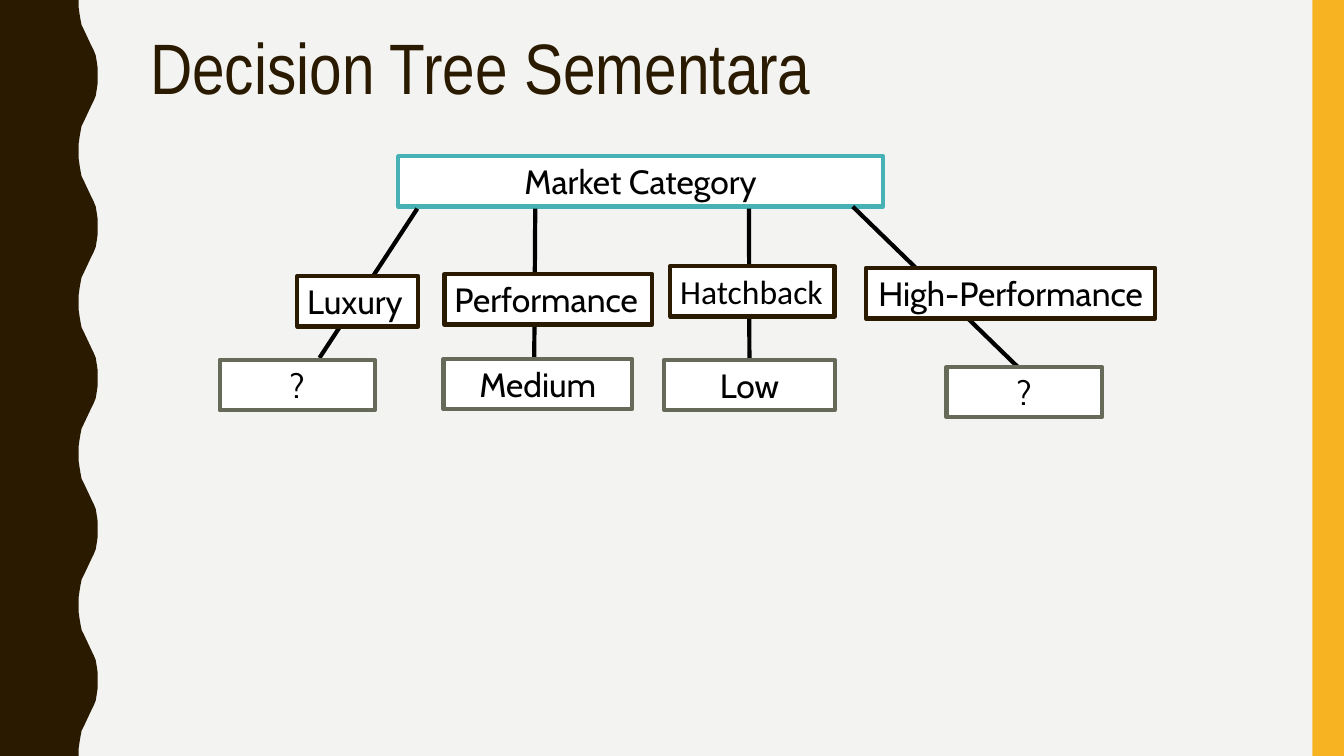
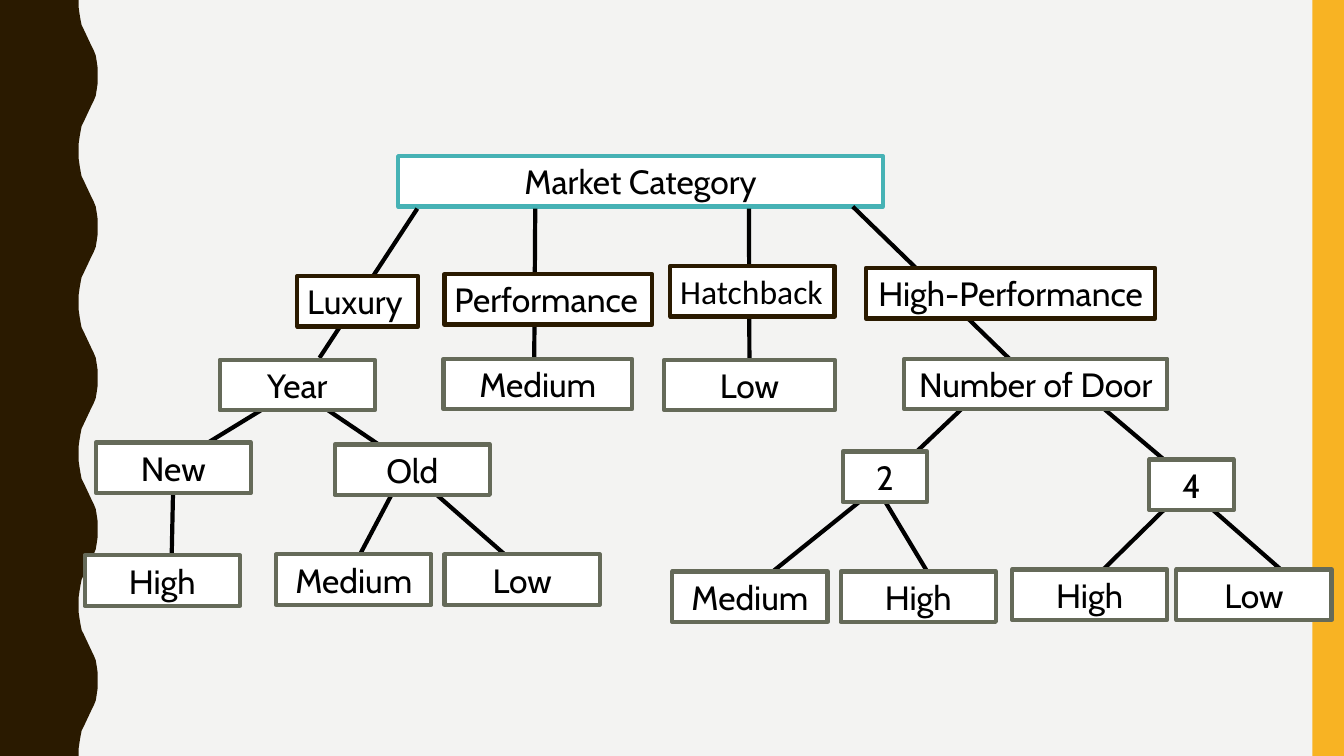
from dataclasses import dataclass

from lxml import etree
from pptx import Presentation
from pptx import util as u
from pptx.dml.color import RGBColor
from pptx.enum import shapes, text
from pptx.oxml.ns import qn


@dataclass(frozen=True)
class Theme:
    paper: str = "F3F3F2"
    brown: str = "2A1A00"
    gold: str = "F8B323"
    teal: str = "46B2B5"
    olive: str = "656A59"
    white: str = "FFFFFF"
    black: str = "000000"
    title_font: str = "Arial Narrow"
    body_font: str = "Cabin"
    plain_font: str = "Calibri"
    title_size: int = 51
    body_size: int = 24
    stroke: int = 3


T = Theme()

# Grid: square cells, ten to the inch
COLS, ROWS = 133.33, 75
BOX_ROWS = 5
LEAF_COLS = 15.4

# Wave edge: half a period as (row, column), mirrored for the other half
WAVE_PERIOD = 15
WAVE = [(0, 7.8), (0.7, 7.8), (1.4, 7.9), (2, 8), (2.5, 8.1), (2.9, 8.3),
        (4.6, 9.1), (5, 9.3), (5.5, 9.5), (6.1, 9.6), (6.8, 9.7), (7.5, 9.7)]

# Boxes: text, column, row, width in columns
ROOT = ("Market Category", 39.5, 15.5, 48.1)
CATEGORIES = [("Luxury", 29.5, 27.4, 12), ("Performance", 44.1, 27.2, 20.6),
              ("Hatchback", 66.5, 26.4, 16.3),
              ("High-Performance", 85.9, 26.6, 28.7)]
SETTLED = [("Medium", 44, 35.6, 18.7), ("Low", 65.9, 35.7, 16.9)]
OPEN_ENDS = [("?", 21.8, 35.7, LEAF_COLS), ("?", 93.9, 36.4, LEAF_COLS)]
SPLITS = [("Year", 21.8, 35.7, LEAF_COLS),
          ("Number of Door", 89.7, 35.6, 26.1),
          ("New", 9.5, 43.9, LEAF_COLS), ("Old", 33.2, 44.1, LEAF_COLS),
          ("2", 83.6, 44.8, 8.4), ("4", 114, 45.6, 8.4)]
LEAVES = [(label, col, row, LEAF_COLS) for label, col, row in [
    ("High", 8.4, 55.1), ("Medium", 27.4, 55), ("Low", 44.1, 55),
    ("Medium", 66.7, 56.7), ("High", 83.4, 56.7),
    ("High", 100.4, 56.5), ("Low", 116.7, 56.5)]]

# Branches: start column, start row, end column, end row
LOW_BRANCH = (74.3, 20.7, 74.3, 35.7)
MAIN_BRANCHES = [(41.4, 20.7, 31.7, 35.5), (53.1, 20.7, 53, 35.4),
                 (84.6, 20.5, 102.1, 37.5)]
SPLIT_BRANCHES = [
    (30.8, 37.7, 15.1, 47.3), (28.1, 37.7, 42, 47.1),
    (97.9, 38.2, 90.1, 45.6), (106.5, 38, 117.6, 47.4),
    (17.2, 47.3, 17, 56.7), (40.1, 46.7, 34.5, 57.3),
    (40.6, 46.7, 52.8, 57.4), (87.6, 47.9, 73.8, 59),
    (86.7, 47.9, 93.3, 58.9), (117.9, 48.2, 107.1, 58.8),
    (117.6, 48.2, 129.8, 58.9)]


def cells(*counts):
    return [u.Inches(n / 10) for n in counts]


def rgb(value):
    return RGBColor.from_string(value)


def paint(sp, fill, line=None):
    sp.shadow.inherit = False
    sp.fill.solid()
    sp.fill.fore_color.rgb = rgb(fill)
    if line:
        sp.line.color.rgb = rgb(line)
        sp.line.width = u.Pt(T.stroke)
    else:
        sp.line.fill.background()


def style_text(p, font, size, color, align):
    p.alignment = align
    for r in p.runs:
        r.font.name = font
        r.font.size = u.Pt(size)
        r.font.color.rgb = rgb(color)


def add_box(s, spec, line, align=text.PP_ALIGN.CENTER, font=T.body_font):
    label, col, row, width = spec
    sp = s.shapes.add_shape(shapes.MSO_SHAPE.RECTANGLE,
                            *cells(col, row, width, BOX_ROWS))
    paint(sp, T.white, line)
    tf = sp.text_frame
    tf.text = label
    tf.word_wrap = True
    tf.auto_size = text.MSO_AUTO_SIZE.SHAPE_TO_FIT_TEXT
    style_text(tf.paragraphs[0], font, T.body_size, T.black, align)
    return sp


def add_branch(s, ends):
    branch = s.shapes.add_connector(shapes.MSO_CONNECTOR.STRAIGHT,
                                    *cells(*ends))
    branch.line.color.rgb = rgb(T.black)
    branch.line.width = u.Pt(T.stroke)
    etree.SubElement(branch.element.spPr, qn("a:effectLst"))
    return branch


def add_title(s, label):
    title = s.shapes.title
    title.left, title.top, title.width, title.height = cells(
        13.9, 2.8, 111.3, 12)
    tf = title.text_frame
    tf.text = label
    tf.vertical_anchor = text.MSO_ANCHOR.TOP
    p = tf.paragraphs[0]
    p.line_spacing = 0.9
    style_text(p, T.title_font, T.title_size, T.brown, text.PP_ALIGN.LEFT)


def dress_master(prs, s):
    """Draw the shared bands on s, then move them to the slide master."""
    master = prs.slide_master
    master.background.fill.solid()
    master.background.fill.fore_color.rgb = rgb(T.paper)

    # Wavy band on the left
    period = WAVE + [(WAVE_PERIOD - row, col) for row, col in WAVE[-2::-1]]
    edge = [cells(col, start + row)
            for start in range(0, ROWS, WAVE_PERIOD) for row, col in period]
    outline = s.shapes.build_freeform(0, 0)
    outline.add_line_segments(edge + [cells(0, ROWS)], close=True)
    wave = outline.convert_to_shape()
    paint(wave, T.brown)

    # Straight band on the right
    band = s.shapes.add_shape(shapes.MSO_SHAPE.RECTANGLE,
                              *cells(130.2, 0, COLS - 130.2, ROWS))
    paint(band, T.gold)

    for sp in (band, wave):
        master.shapes.element.insert(2, sp.element)


def draw_tree(s, lower_boxes, lower_branches=()):
    # Root, then the branches that the other boxes cover
    add_box(s, ROOT, T.teal)
    low_branch = add_branch(s, LOW_BRANCH)
    for ends in [*MAIN_BRANCHES, *lower_branches]:
        add_branch(s, ends)

    # Categories
    for spec in CATEGORIES:
        label = spec[0]
        add_box(s, spec, T.brown,
                text.PP_ALIGN.CENTER if label == "High-Performance"
                else text.PP_ALIGN.LEFT,
                T.plain_font if label == "Hatchback" else T.body_font)

    # Outcomes and further splits
    medium, low = [add_box(s, spec, T.olive) for spec in SETTLED]
    low_branch.end_connect(low, 0)
    for spec in lower_boxes:
        add_box(s, spec, T.olive)


def main():
    prs = Presentation()
    prs.slide_width, prs.slide_height = cells(COLS, ROWS)
    title_only, blank = prs.slide_layouts[5], prs.slide_layouts[6]

    # First tree, with open ends
    s = prs.slides.add_slide(title_only)
    dress_master(prs, s)
    add_title(s, "Decision Tree Sementara")
    draw_tree(s, OPEN_ENDS)

    # Full tree
    s = prs.slides.add_slide(blank)
    draw_tree(s, SPLITS + LEAVES, SPLIT_BRANCHES)

    prs.save("out.pptx")


if __name__ == "__main__":
    main()
